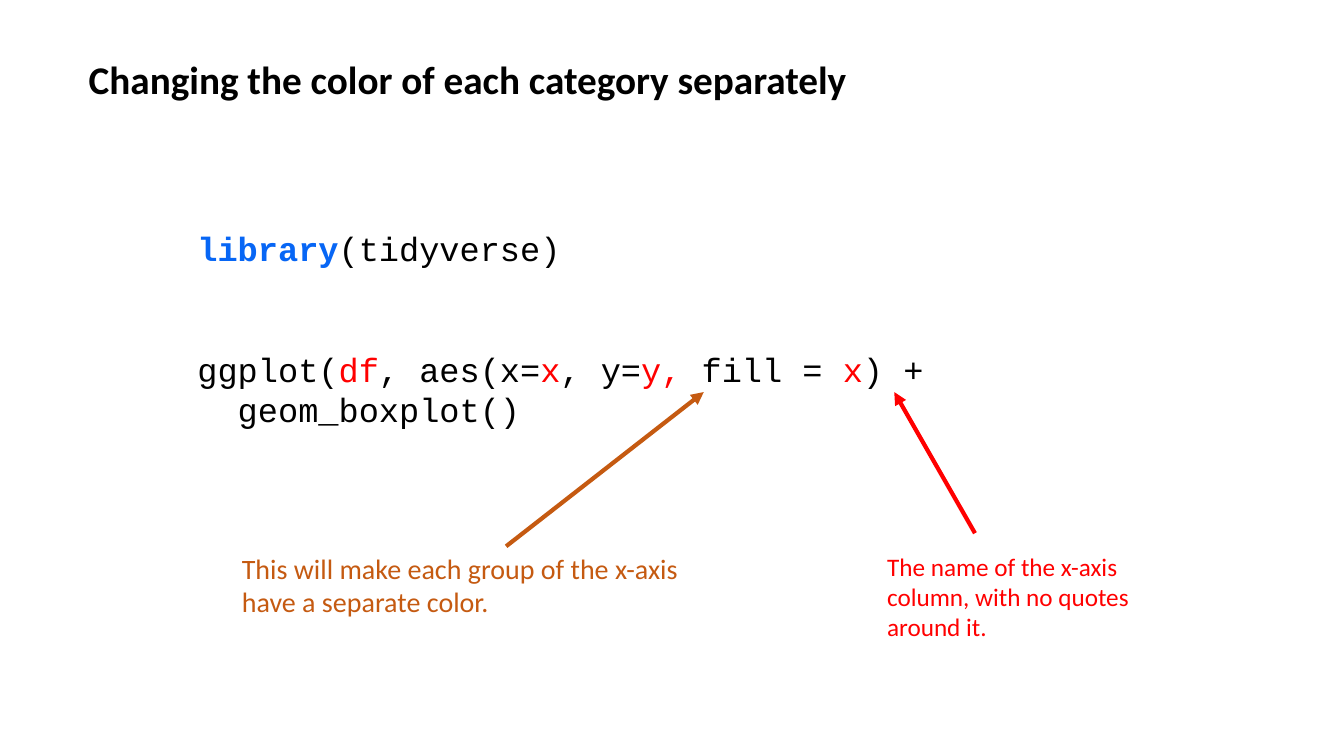
from lxml import etree
from pptx import Presentation
from pptx.dml.color import RGBColor
from pptx.enum.shapes import MSO_CONNECTOR
from pptx.enum.text import MSO_ANCHOR, MSO_AUTO_SIZE, PP_ALIGN
from pptx.oxml.ns import qn
from pptx.util import Inches, Pt

STRAIGHT = MSO_CONNECTOR.STRAIGHT
TOP = MSO_ANCHOR.TOP
NO_AUTOFIT = MSO_AUTO_SIZE.NONE
LEFT = PP_ALIGN.LEFT

BLACK = RGBColor(0x00, 0x00, 0x00)
BLUE = RGBColor(0x07, 0x66, 0xF5)
RED = RGBColor(0xFF, 0x00, 0x00)
ORANGE = RGBColor(0xC5, 0x5A, 0x11)

CODE_SIZE = 24
CODE_PITCH = 28.8
CODE_INDENT = Inches(0.4)


def add_run(paragraph, text, size, color=BLACK, font="Calibri", bold=False):
    run = paragraph.add_run()
    run.text = text
    run.font.size = Pt(size)
    run.font.name = font
    run.font.bold = bold
    run.font.color.rgb = color


presentation = Presentation()
presentation.slide_width = Inches(13.33)
presentation.slide_height = Inches(7.5)
slide = presentation.slides.add_slide(presentation.slide_layouts[5])

title = slide.shapes.title
title.left, title.top = Inches(0.78), Inches(0.5)
title.width, title.height = Inches(7.81), Inches(0.57)
title_frame = title.text_frame
title_frame.word_wrap = False
title_frame.auto_size = NO_AUTOFIT
title_frame.vertical_anchor = TOP
title_paragraph = title_frame.paragraphs[0]
title_paragraph.alignment = LEFT
add_run(title_paragraph, "Changing the color of each category separately", 28, bold=True)

code_lines = [
    [("library", BLUE), ("(tidyverse)", BLACK)],
    [
        ("ggplot(", BLACK), ("df", RED), (", aes(x=", BLACK), ("x", RED),
        (", y=", BLACK), ("y,", RED), (" fill = ", BLACK), ("x", RED), (") +", BLACK),
    ],
    [("geom_boxplot()", BLACK)],
]
code_box = slide.shapes.add_textbox(Inches(1.86), Inches(2.21), Inches(11.06), Inches(2.12))
code_frame = code_box.text_frame
code_frame.word_wrap = True
for index, code_line in enumerate(code_lines):
    paragraph = code_frame.paragraphs[0] if index == 0 else code_frame.add_paragraph()
    paragraph.line_spacing = Pt(CODE_PITCH)
    for text, color in code_line:
        add_run(paragraph, text, CODE_SIZE, color, "Courier New", bold=color == BLUE)
code_frame.paragraphs[1].space_before = Pt(2 * CODE_PITCH)
code_frame.paragraphs[2]._p.get_or_add_pPr().set("marL", str(CODE_INDENT))

notes = [
    ("The name of the x-axis column, with no quotes around it.",
     18, RED, (8.7, 5.42, 3.33, 1.01), (9.67, 5.29, 8.87, 3.89)),
    ("This will make each group of the x-axis have a separate color.",
     20, ORANGE, (2.3, 5.42, 5.09, 0.77), (5.02, 5.42, 6.98, 3.89)),
]
for text, size, color, box, ends in notes:
    note = slide.shapes.add_textbox(*map(Inches, box))
    note.text_frame.word_wrap = True
    add_run(note.text_frame.paragraphs[0], text, size, color)

    arrow = slide.shapes.add_connector(STRAIGHT, *map(Inches, ends))
    arrow.line.color.rgb = color
    arrow.line.width = Pt(3)
    etree.SubElement(arrow.line._get_or_add_ln(), qn("a:tailEnd"), type="triangle")
    etree.SubElement(arrow._element.spPr, qn("a:effectLst"))

presentation.save("out.pptx")
